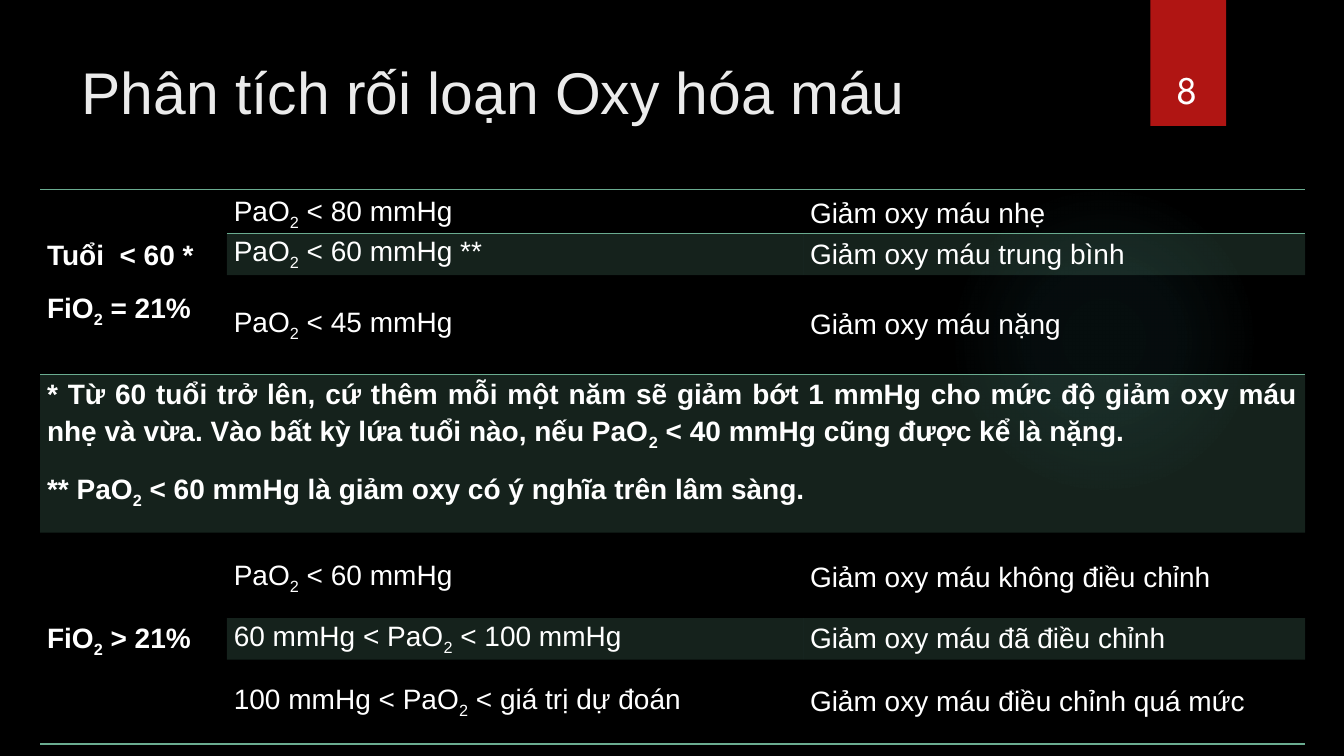
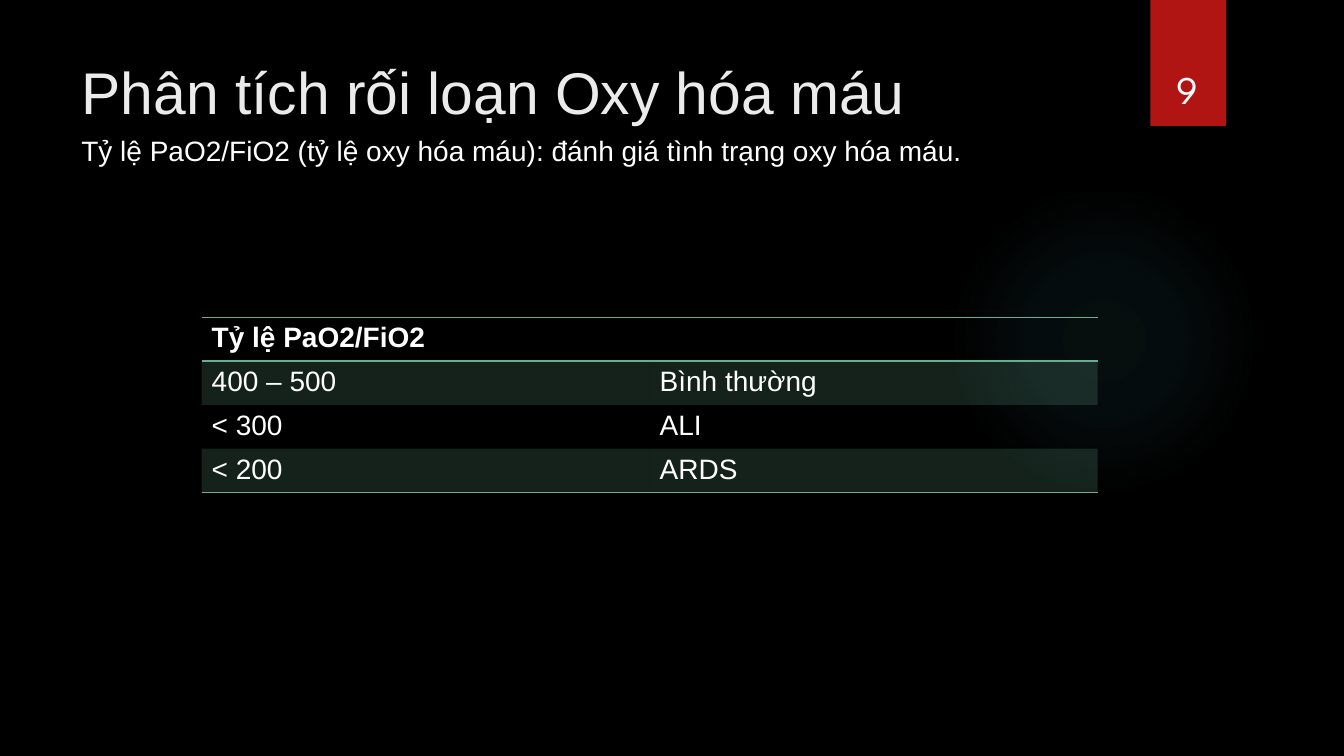
import pptx
import pptx.util
import pptx.dml.color
import pptx.enum.shapes
import pptx.enum.text
import pptx.oxml
import pptx.oxml.ns
import lxml.etree

Pt = pptx.util.Pt
qn = pptx.oxml.ns.qn
RGBColor = pptx.dml.color.RGBColor
PP_ALIGN = pptx.enum.text.PP_ALIGN
ANCHOR = pptx.enum.text.MSO_ANCHOR
SHAPES = pptx.enum.shapes.MSO_SHAPE

COLORS = {
    "background": "000000",
    "title": "EBEBEB",
    "text": "FFFFFF",
    "band": "B01513",
    "glow": "50B9C1",
    "table": "6AAC90",
}
TITLE_FONT = {"name": "Arial", "size": Pt(42), "bold": False}
NUMBER_FONT = {"name": "League Spartan", "size": Pt(28), "bold": False}
BODY_FONT = {"name": "Arial", "size": Pt(20), "bold": False}
PLAIN_TABLE_STYLE = "{2D5ABB26-0587-4C30-8999-92F81FD0307C}"


def write_paragraph(paragraph, text, font_format, color="text"):
    """Write text into a paragraph; parts between underscores are subscripts."""
    for index, part in enumerate(text.split("_")):
        if not part:
            continue
        run = paragraph.add_run()
        run.text = part
        for name, value in font_format.items():
            setattr(run.font, name, value)
        run.font.color.rgb = RGBColor.from_string(COLORS[color])
        if index % 2:
            run._r.get_or_add_rPr().set("baseline", "-25000")


def add_color(parent, color, alpha=100):
    """Append a solid colour element with the given opacity in percent."""
    element = lxml.etree.SubElement(parent, qn("a:srgbClr"), val=COLORS[color])
    if alpha < 100:
        lxml.etree.SubElement(element, qn("a:alpha"), val=str(alpha * 1000))


presentation = pptx.Presentation()
presentation.slide_width, presentation.slide_height = Pt(960), Pt(540)

# Shared background and title place
background = presentation.slide_master.background.fill
background.solid()
background.fore_color.rgb = RGBColor.from_string(COLORS["background"])
layout = presentation.slide_layouts[5]
title_place = {"left": Pt(51), "top": Pt(36), "width": Pt(741), "height": Pt(110)}
for name, value in title_place.items():
    setattr(layout.placeholders[0], name, value)

slides = [presentation.slides.add_slide(layout) for _ in range(2)]

# Shared glow and red band, drawn once and moved to the layout
glow = slides[0].shapes.add_shape(SHAPES.OVAL, Pt(677.5), Pt(131.8), Pt(221.8), Pt(221.8))
band = slides[0].shapes.add_shape(SHAPES.RECTANGLE, Pt(821.8), Pt(0), Pt(54), Pt(90))
band.fill.solid()
band.fill.fore_color.rgb = RGBColor.from_string(COLORS["band"])
glow.fill.background()
gradient = lxml.etree.Element(qn("a:gradFill"), rotWithShape="1")
stops = lxml.etree.SubElement(gradient, qn("a:gsLst"))
for position, alpha in [(0, 7), (36, 6), (69, 0)]:
    stop = lxml.etree.SubElement(stops, qn("a:gs"), pos=str(position * 1000))
    add_color(stop, "glow", alpha)
circle = lxml.etree.SubElement(gradient, qn("a:path"), path="circle")
lxml.etree.SubElement(circle, qn("a:fillToRect"), l="50000", t="50000", r="50000", b="50000")
no_fill = glow.element.spPr.find(qn("a:noFill"))
glow.element.spPr.replace(no_fill, gradient)
for offset, shape in enumerate([glow, band]):
    shape.shadow.inherit = False
    shape.line.fill.background()
    shape.element.xpath("./p:nvSpPr/p:cNvPr")[0].set("id", str(20 + offset))
    layout.shapes.element.insert(2 + offset, shape.element)

# Titles and slide numbers
for number, slide in enumerate(slides, start=8):
    frame = slide.shapes.title.text_frame
    frame.auto_size = pptx.enum.text.MSO_AUTO_SIZE.NONE
    frame.vertical_anchor = ANCHOR.TOP
    frame.paragraphs[0].alignment = PP_ALIGN.LEFT
    write_paragraph(frame.paragraphs[0], "Phân tích rối loạn Oxy hóa máu", TITLE_FONT, "title")

    frame = slide.shapes.add_textbox(Pt(815), Pt(23), Pt(66), Pt(60.5)).text_frame
    frame.word_wrap = True
    frame.vertical_anchor = ANCHOR.BOTTOM
    frame.paragraphs[0].alignment = PP_ALIGN.CENTER
    write_paragraph(frame.paragraphs[0], str(number), NUMBER_FONT)

# Subtitle of the ratio slide
frame = slides[1].shapes.add_textbox(Pt(51), Pt(92), Pt(684), Pt(31.5)).text_frame
frame.word_wrap = True
write_paragraph(
    frame.paragraphs[0],
    "Tỷ lệ PaO2/FiO2 (tỷ lệ oxy hóa máu): đánh giá tình trạng oxy hóa máu.",
    BODY_FONT,
)

# Table contents; a line break starts a new paragraph, None is a merged cell
tables = [
    {
        "left": 28.6, "top": 135.5,
        "columns": [133.4, 411.6, 358.6],
        "rows": [29.6, 29.6, 67, 113, 61, 29.6, 60.4],
        "cells": [
            ["Tuổi  < 60 *\nFiO_2_ = 21%", "PaO_2_ < 80 mmHg", "Giảm oxy máu nhẹ"],
            [None, "PaO_2_ < 60 mmHg **", "Giảm oxy máu trung bình"],
            [None, "PaO_2_ < 45 mmHg", "Giảm oxy máu nặng"],
            ["* Từ 60 tuổi trở lên, cứ thêm mỗi một năm sẽ giảm bớt 1 mmHg cho mức độ "
             "giảm oxy máu nhẹ và vừa. Vào bất kỳ lứa tuổi nào, nếu PaO_2_ < 40 mmHg "
             "cũng được kể là nặng.\n"
             "** PaO_2_ < 60 mmHg là giảm oxy có ý nghĩa trên lâm sàng.", None, None],
            ["FiO_2_ > 21%", "PaO_2_ < 60 mmHg", "Giảm oxy máu không điều chỉnh"],
            [None, "60 mmHg < PaO_2_ < 100 mmHg", "Giảm oxy máu đã điều chỉnh"],
            [None, "100 mmHg < PaO_2_ < giá trị dự đoán", "Giảm oxy máu điều chỉnh quá mức"],
        ],
        "merges": [((0, 0), (2, 0)), ((3, 0), (3, 2)), ((4, 0), (6, 0))],
        "bottom_lines": [(0, 0), (0, 1), (0, 2), (4, 0), (6, 1), (6, 2)],
        "bold": [(0, 0), (3, 0), (4, 0)],
        "spaced_rows": [0, 3, 4],
        "justified_rows": [3],
        "top_rows": [3],
        "margins": {"margin_left": Pt(5), "margin_right": Pt(5),
                    "margin_top": Pt(0), "margin_bottom": Pt(0)},
    },
    {
        "left": 144, "top": 226.6,
        "columns": [320, 320],
        "rows": [31.3] * 4,
        "cells": [
            ["Tỷ lệ PaO2/FiO2", ""],
            ["400 – 500", "Bình thường"],
            ["< 300", "ALI"],
            ["< 200", "ARDS"],
        ],
        "merges": [],
        "bottom_lines": [(0, 0), (0, 1), (3, 0), (3, 1)],
        "bold": [(0, 0)],
        "spaced_rows": [],
        "justified_rows": [],
        "top_rows": range(4),
        "margins": {},
    },
]

# Tables: every second row is tinted
for slide, content in zip(slides, tables):
    widths, heights = content["columns"], content["rows"]
    table = slide.shapes.add_table(
        len(heights), len(widths), Pt(content["left"]), Pt(content["top"]),
        Pt(sum(widths)), Pt(sum(heights)),
    ).table
    table.first_row = table.horz_banding = False
    table._tbl.tblPr.find(qn("a:tableStyleId")).text = PLAIN_TABLE_STYLE
    for column, width in zip(table.columns, widths):
        column.width = Pt(width)
    for row, height in zip(table.rows, heights):
        row.height = Pt(height)
    for first, last in content["merges"]:
        table.cell(*first).merge(table.cell(*last))

    for row_index, texts in enumerate(content["cells"]):
        for column_index, text in enumerate(texts):
            if text is None:
                continue
            place = (row_index, column_index)
            cell = table.cell(*place)
            for name, value in content["margins"].items():
                setattr(cell, name, value)
            at_top = row_index in content["top_rows"]
            cell.vertical_anchor = ANCHOR.TOP if at_top else ANCHOR.MIDDLE

            # Borders come before the fill
            properties = cell._tc.get_or_add_tcPr()
            sides = [("a:lnT", row_index == 0), ("a:lnB", place in content["bottom_lines"])]
            for tag, shown in sides:
                if shown:
                    border = lxml.etree.SubElement(properties, qn(tag), w=str(Pt(1)))
                    add_color(lxml.etree.SubElement(border, qn("a:solidFill")), "table")
            tinted = row_index % 2 == 1
            fill = lxml.etree.SubElement(properties, qn("a:solidFill" if tinted else "a:noFill"))
            if tinted:
                add_color(fill, "table", 20)

            font_format = dict(BODY_FONT, bold=place in content["bold"])
            for index, line in enumerate(text.split("\n")):
                frame = cell.text_frame
                paragraph = frame.add_paragraph() if index else frame.paragraphs[0]
                if row_index in content["spaced_rows"]:
                    paragraph.line_spacing = 1.15
                    paragraph.space_before = Pt(6 if index else 0)
                    paragraph.space_after = Pt(6)
                if row_index in content["justified_rows"]:
                    paragraph.alignment = PP_ALIGN.JUSTIFY
                write_paragraph(paragraph, line, font_format)

presentation.save("out.pptx")
